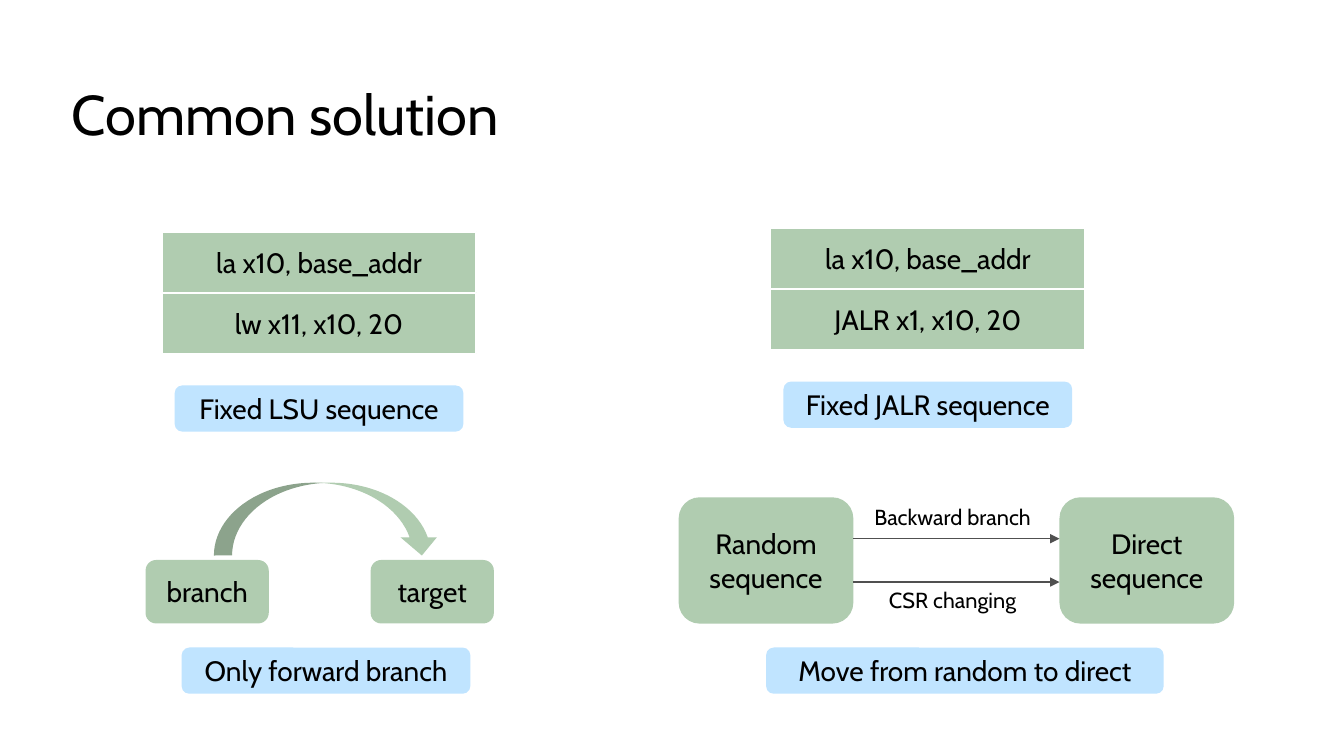
from dataclasses import dataclass

from lxml import etree
from pptx import Presentation
from pptx import util as u
from pptx.dml import color
from pptx.enum import shapes, text
from pptx.oxml import ns

Pt = u.Pt
KIND = shapes.MSO_SHAPE


@dataclass(frozen=True)
class Theme:
    font: str = "Cabin"
    ink: str = "000000"
    green: str = "B0CCB0"
    blue: str = "C0E4FF"
    white: str = "FFFFFF"
    arrow: str = "505050"
    title_size: float = 36
    body_size: float = 18
    label_size: float = 14


THEME = Theme()


def rgb(value):
    return color.RGBColor.from_string(value)


def set_all(target, values):
    for name, value in values.items():
        setattr(target, name, value)


def write(shape, words, size, align=text.PP_ALIGN.CENTER,
          anchor=text.MSO_ANCHOR.MIDDLE, wrap=True, spacing=1.0):
    frame = shape.text_frame
    frame.text = words
    set_all(frame, {
        "auto_size": text.MSO_AUTO_SIZE.NONE, "word_wrap": wrap,
        "vertical_anchor": anchor,
        "margin_left": Pt(7.2), "margin_right": Pt(7.2),
        "margin_top": Pt(3.6), "margin_bottom": Pt(3.6),
    })
    for para in frame.paragraphs:
        set_all(para, {"alignment": align, "line_spacing": spacing})
        for span in para.runs:
            set_all(span.font, {"name": THEME.font, "size": Pt(size)})
            span.font.color.rgb = rgb(THEME.ink)


def add_title(page, words):
    title = page.shapes.title
    set_all(title, {"left": Pt(38.9), "top": Pt(51.8),
                    "width": Pt(785.5), "height": Pt(46.8)})
    write(title, words, THEME.title_size, text.PP_ALIGN.LEFT,
          text.MSO_ANCHOR.BOTTOM, spacing=0.9)


def add_box(page, kind, place, fill, words="", outline=None):
    box = page.shapes.add_shape(kind, *map(Pt, place))
    box.shadow.inherit = False
    box.fill.solid()
    box.fill.fore_color.rgb = rgb(fill)
    if outline:
        box.line.color.rgb = rgb(outline)
        box.line.width = Pt(1)
    else:
        box.line.fill.background()
    if words:
        write(box, words, THEME.body_size)
    return box


def add_caption(page, left, top, words, width=185.6):
    add_box(page, KIND.ROUNDED_RECTANGLE, (left, top, width, 29.7), THEME.blue, words)


def add_listing(page, left, top, lines, caption):
    """Stacked instructions with a caption below."""
    width, pitch = 202.2, 39.2
    for row, line in enumerate(lines):
        add_box(page, KIND.RECTANGLE, (left, top + row * pitch, width, pitch),
                THEME.green, line, THEME.white)
    add_caption(page, left + 8.3, top + 98.8, caption)


def add_label(page, place, words):
    label = page.shapes.add_textbox(*map(Pt, place))
    write(label, words, THEME.label_size, wrap=False, spacing=0.9)


def add_arrow(page, start, end, y):
    arrow = page.shapes.add_connector(
        shapes.MSO_CONNECTOR.STRAIGHT, Pt(start), Pt(y), Pt(end), Pt(y))
    arrow.line.color.rgb = rgb(THEME.arrow)
    arrow.line.width = Pt(0.75)
    line = arrow.line._get_or_add_ln()
    etree.SubElement(line, ns.qn("a:tailEnd"), type="triangle")
    etree.SubElement(arrow._element.spPr, ns.qn("a:effectLst"))


def add_forward_branch(page):
    for left, words in ((93.6, "branch"), (238.3, "target")):
        add_box(page, KIND.ROUNDED_RECTANGLE, (left, 360, 79.2, 40.8),
                THEME.green, words)
    add_box(page, KIND.CURVED_DOWN_ARROW, (137.5, 310.3, 145.4, 46.8), THEME.green)
    add_caption(page, 116.8, 416.3, "Only forward branch")


def add_random_to_direct(page):
    left, right, width = 436.3, 681.1, 112.3
    for x, words in ((left, "Random\nsequence"), (right, "Direct\nsequence")):
        add_box(page, KIND.ROUNDED_RECTANGLE, (x, 319.7, width, 81.2),
                THEME.green, words)
    for y in (346.3, 374.2):
        add_arrow(page, left + width, right, y)
    add_label(page, (544.3, 322.2, 136.1, 22.3), "Backward branch")
    add_label(page, (556.6, 375.8, 111.6, 22.3), "CSR changing")
    add_caption(page, 492.5, 416.3, "Move from random to direct", 255.6)


def main():
    deck = Presentation()
    set_all(deck, {"slide_width": Pt(864), "slide_height": Pt(486)})
    page = deck.slides.add_slide(deck.slide_layouts.get_by_name("Title Only"))
    add_title(page, "Common solution")

    # Upper row: fixed instruction sequences
    add_listing(page, 104, 149, ("la x10, base_addr", "lw x11, x10, 20"),
                "Fixed LSU sequence")
    add_listing(page, 495.4, 146.5, ("la x10, base_addr", "JALR x1, x10, 20"),
                "Fixed JALR sequence")

    # Lower row: control flow
    add_forward_branch(page)
    add_random_to_direct(page)
    deck.save("out.pptx")


if __name__ == "__main__":
    main()
